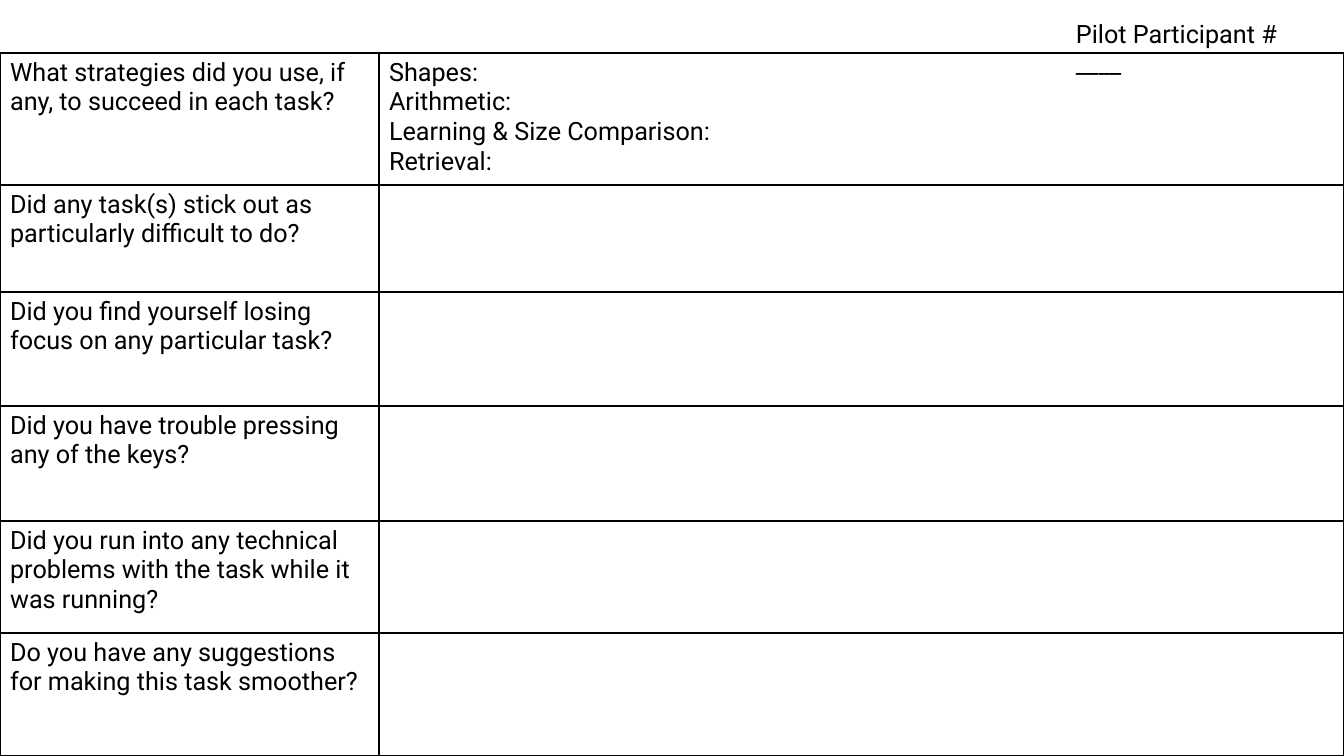
from lxml import etree
from pptx import Presentation
from pptx import util as u
from pptx.dml.color import RGBColor
from pptx.enum import text as t
from pptx.oxml.ns import qn

PX = 914400 / 100.8
COLORS = {"ink": "000000"}
BORDER_WIDTH = u.Pt(1)


def px(*lengths):
    """Turn pixel lengths into EMU."""
    return [u.Emu(round(length * PX)) for length in lengths]


def write(frame, lines, size=18, font="Roboto", color="ink"):
    frame.word_wrap = True
    for i, line in enumerate(lines):
        paragraph = frame.paragraphs[0] if i == 0 else frame.add_paragraph()
        paragraph.alignment = t.PP_ALIGN.LEFT
        run = paragraph.add_run()
        run.text = line
        run.font.size = u.Pt(size)
        run.font.name = font
        run.font.color.rgb = RGBColor.from_string(COLORS[color])


prs = Presentation()
prs.slide_width, prs.slide_height = px(1344, 756)
slide = prs.slides.add_slide(prs.slide_layouts[6])

# Questions on the left, room for answers on the right
interview = [
    (132, "What strategies did you use, if any, to succeed in each task?",
     ["Shapes:", "Arithmetic:", "Learning & Size Comparison:", "Retrieval:"]),
    (107, "Did any task(s) stick out as particularly difficult to do?", []),
    (114, "Did you find yourself losing focus on any particular task?", []),
    (115, "Did you have trouble pressing any of the keys?", []),
    (112, "Did you run into any technical problems with the task while it was running?", []),
    (123, "Do you have any suggestions for making this task smoother?", []),
]
form = slide.shapes.add_table(len(interview), 2, *px(0, 53, 1344, 703)).table
form.first_row = form.horz_banding = False
for column, width in zip(form.columns, px(379, 965)):
    column.width = width

for row, (height, question, answers) in zip(form.rows, interview):
    row.height = px(height)[0]
    for cell, lines in zip(row.cells, ([question], answers)):
        write(cell.text_frame, lines)
        cell.fill.background()
        properties = cell._tc.get_or_add_tcPr()
        for i, side in enumerate(("a:lnL", "a:lnR", "a:lnT", "a:lnB")):
            border = etree.Element(qn(side), w=str(BORDER_WIDTH))
            fill = etree.SubElement(border, qn("a:solidFill"))
            etree.SubElement(fill, qn("a:srgbClr"), val=COLORS["ink"])
            properties.insert(i, border)

# Participant number
participant = slide.shapes.add_textbox(*px(1066, 13, 269, 41)).text_frame
write(participant, ["Pilot Participant # ____"])
participant.auto_size = t.MSO_AUTO_SIZE.SHAPE_TO_FIT_TEXT

prs.save("out.pptx")
